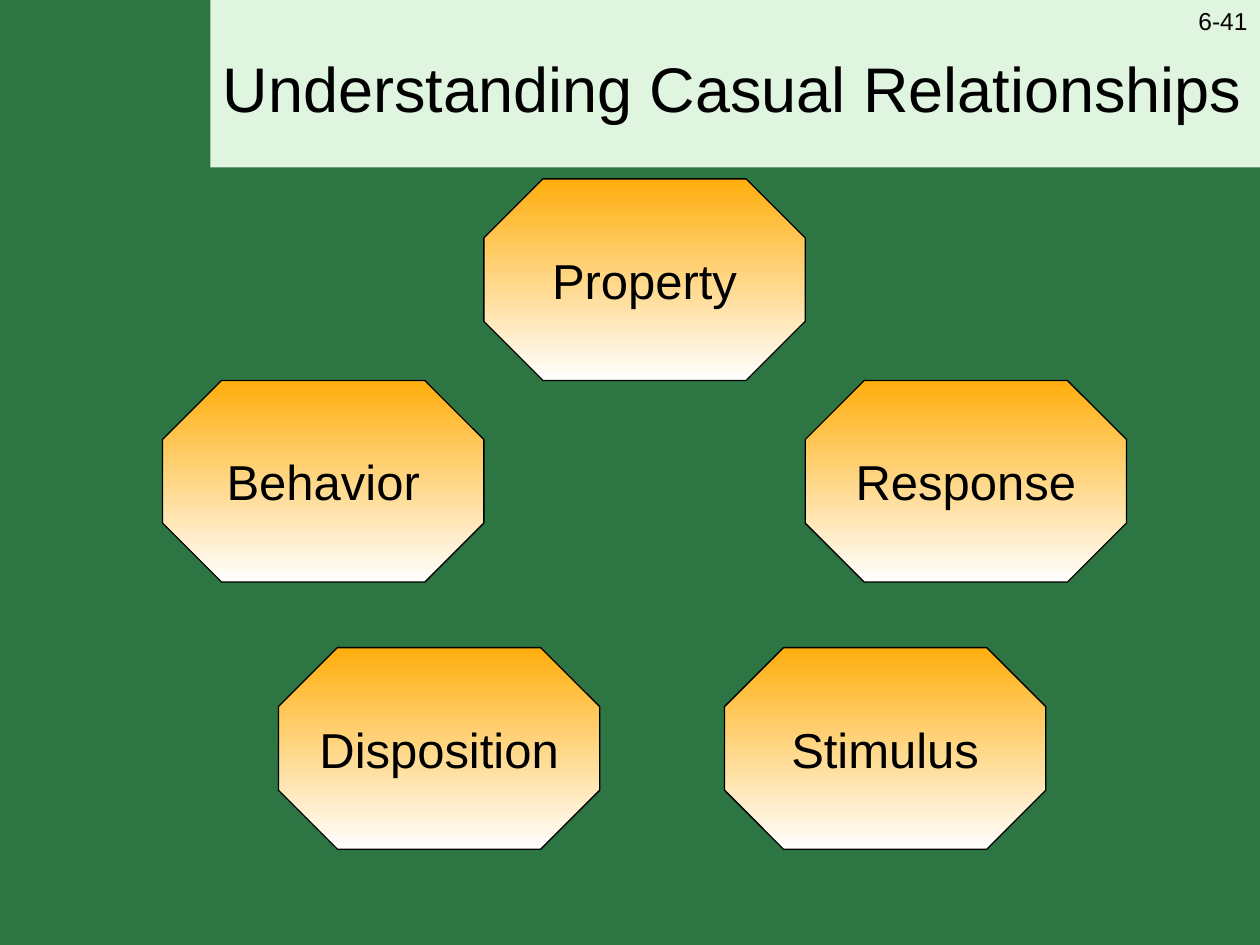
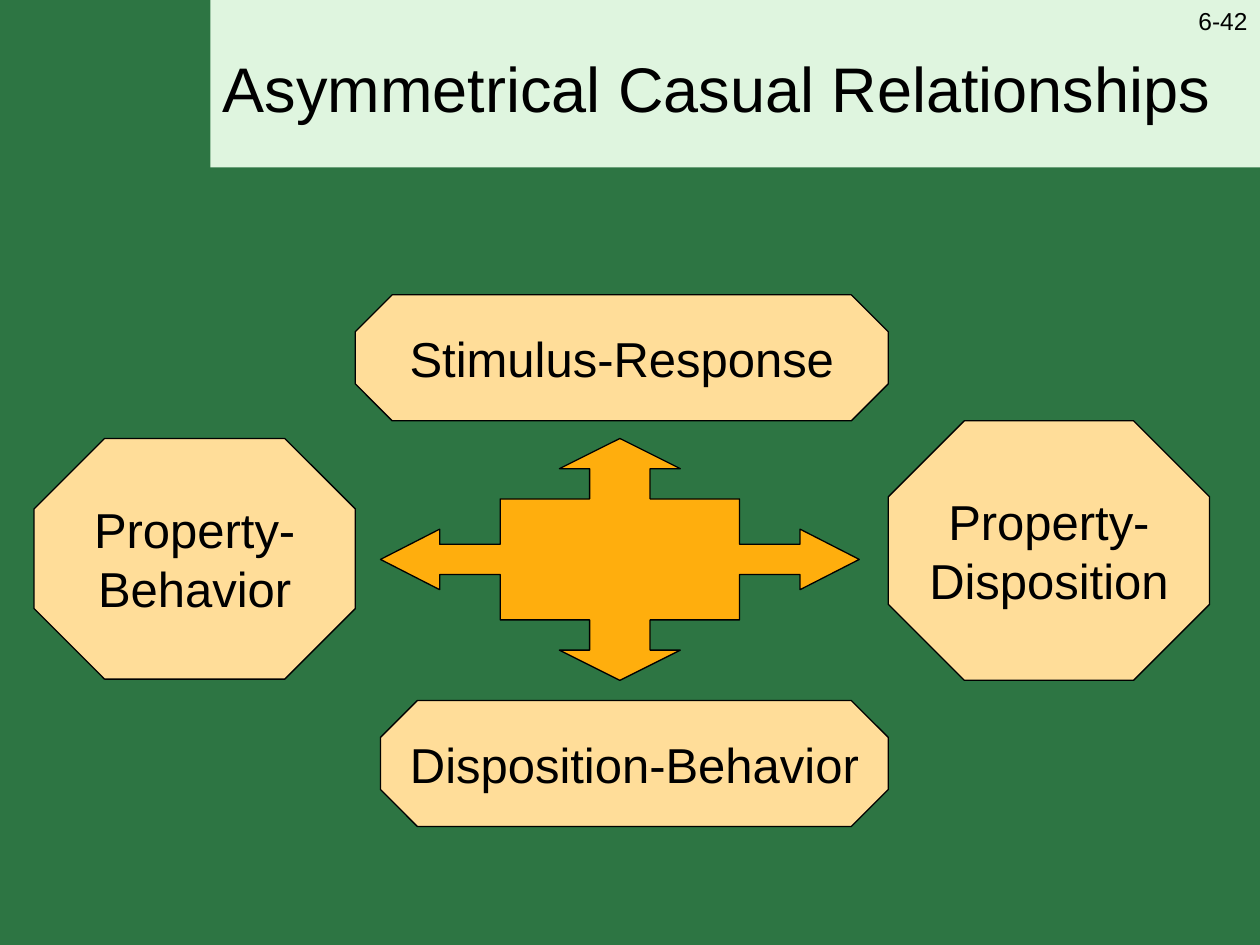
from pptx import Presentation
from pptx.dml.color import RGBColor
from pptx.enum.shapes import MSO_SHAPE
from pptx.enum.text import MSO_ANCHOR, PP_ALIGN
from pptx.util import Inches, Pt

GREEN, MINT = "2D7543", "DFF5DF"
ORANGE, PEACH = "FFAE0D", "FFDD99"
BLACK, WHITE = "000000", "FFFFFF"
FONT = "Arial"
BAND_LEFT, BAND_WIDTH = 1.67, 8.33
OCTAGON_WIDTH, OCTAGON_HEIGHT = 2.55, 1.6


def color(value):
    """Turn a hex string into a colour."""
    return RGBColor.from_string(value)


def fill_solid(fill, value):
    """Give a fill one plain colour."""
    fill.solid()
    fill.fore_color.rgb = color(value)


def fill_gradient(fill, top, bottom):
    """Give a fill a gradient that runs downwards."""
    fill.gradient()
    fill.gradient_angle = 270
    for stop, value in zip(fill.gradient_stops, (top, bottom)):
        stop.color.rgb = color(value)


def outline(shape):
    """Draw a thin black outline and drop the shadow."""
    shape.shadow.inherit = False
    shape.line.color.rgb = color(BLACK)
    shape.line.width = Pt(0.75)


def write(shape, text, size, align, anchor, wrap=True):
    """Put black text into a shape."""
    frame = shape.text_frame
    frame.text = text
    frame.word_wrap = wrap
    frame.vertical_anchor = anchor
    for para in frame.paragraphs:
        para.alignment = align
        for span in para.runs:
            span.font.name = FONT
            span.font.size = Pt(size)
            span.font.color.rgb = color(BLACK)


def add_text(page, box, text, size, align, anchor):
    """Add a text box at left, top, width, height."""
    shape = page.shapes.add_textbox(*map(Inches, box))
    write(shape, text, size, align, anchor)


def add_page(deck, title, number):
    """Add a green page with its title band and page number."""
    page = deck.slides.add_slide(deck.slide_layouts[6])
    fill_solid(page.background.fill, GREEN)
    band = page.shapes.add_shape(
        MSO_SHAPE.RECTANGLE, *map(Inches, (BAND_LEFT, 0, BAND_WIDTH, 1.33)))
    band.shadow.inherit = False
    fill_solid(band.fill, MINT)
    band.line.fill.background()
    add_text(page, (7.67, 0, 2.33, 0.52), number, 14,
             PP_ALIGN.RIGHT, MSO_ANCHOR.TOP)
    add_text(page, (BAND_LEFT, 0.05, BAND_WIDTH, 1.28), title, 36,
             PP_ALIGN.LEFT, MSO_ANCHOR.MIDDLE)
    return page


def add_octagon(page, box, text):
    """Add a labelled octagon and return it for filling."""
    shape = page.shapes.add_shape(MSO_SHAPE.OCTAGON, *map(Inches, box))
    shape.adjustments[0] = 0.293
    outline(shape)
    write(shape, text, 28, PP_ALIGN.CENTER, MSO_ANCHOR.MIDDLE, wrap=False)
    return shape


def add_four_way_arrow(page, center_x, center_y):
    """Add a block with four arrows by mirroring one quarter."""
    quarter = [(0, -0.96), (0.48, -0.72), (0.24, -0.72), (0.24, -0.48),
               (0.95, -0.48), (0.95, -0.12), (1.43, -0.12), (1.43, -0.24),
               (1.9, 0)]
    right = quarter + [(x, -y) for x, y in reversed(quarter[:-1])]
    left = [(-x, y) for x, y in reversed(right[1:-1])]
    points = [(Inches(center_x + x), Inches(center_y + y))
              for x, y in right + left]
    builder = page.shapes.build_freeform(*points[0])
    builder.add_line_segments(points[1:], close=True)
    arrow = builder.convert_to_shape()
    fill_solid(arrow.fill, ORANGE)
    outline(arrow)


def build_understanding(deck):
    """Build the ring of five concepts."""
    page = add_page(deck, "Understanding Casual Relationships", "6-41")
    concepts = [("Property", 3.84, 1.42), ("Response", 6.39, 3.02),
                ("Stimulus", 5.75, 5.14), ("Behavior", 1.29, 3.02),
                ("Disposition", 2.21, 5.14)]
    for text, left, top in concepts:
        box = (left, top, OCTAGON_WIDTH, OCTAGON_HEIGHT)
        fill_gradient(add_octagon(page, box, text).fill, ORANGE, WHITE)


def build_asymmetrical(deck):
    """Build the four relationships around the arrows."""
    page = add_page(deck, "Asymmetrical Casual Relationships", "6-42")
    add_four_way_arrow(page, 4.92, 4.44)
    relationships = [
        ("Stimulus-Response", (2.82, 2.34, 4.23, 1)),
        ("Disposition-Behavior", (3.02, 5.56, 4.03, 1)),
        ("Property-\nBehavior", (0.27, 3.48, OCTAGON_WIDTH, 1.91)),
        ("Property-\nDisposition", (7.05, 3.34, OCTAGON_WIDTH, 2.06)),
    ]
    for text, box in relationships:
        fill_solid(add_octagon(page, box, text).fill, PEACH)


def main():
    """Build and save the deck."""
    deck = Presentation()
    deck.slide_width, deck.slide_height = Inches(10), Inches(7.5)
    build_understanding(deck)
    build_asymmetrical(deck)
    deck.save("out.pptx")


if __name__ == "__main__":
    main()
